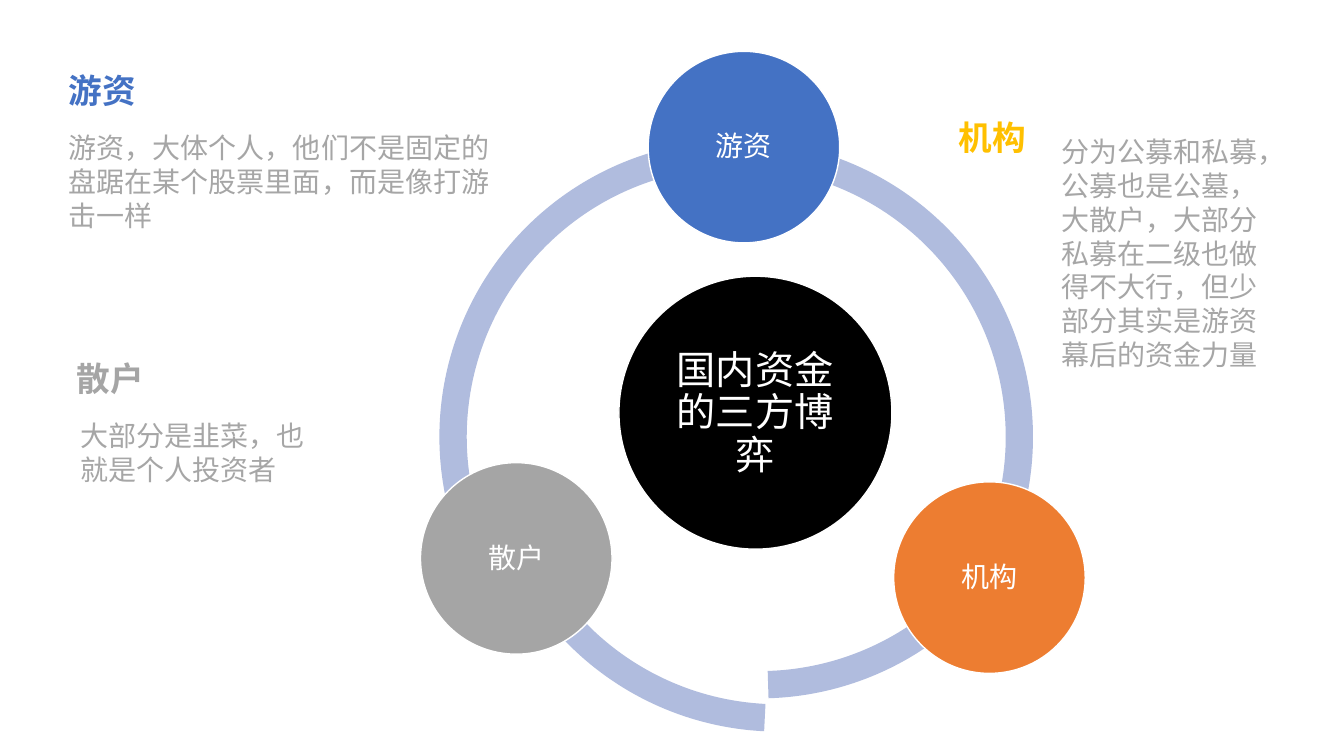
import pptx
import pptx.dml.color
import pptx.enum.shapes
import pptx.enum.text
import pptx.oxml
import pptx.util

Pt = pptx.util.Pt
RGBColor = pptx.dml.color.RGBColor
SHAPE = pptx.enum.shapes.MSO_SHAPE
ALIGN = pptx.enum.text.PP_ALIGN
ANCHOR = pptx.enum.text.MSO_ANCHOR

WHITE = RGBColor(0xFF, 0xFF, 0xFF)
BLACK = RGBColor(0x00, 0x00, 0x00)
RING = RGBColor(0xB0, 0xBC, 0xDE)
BLUE = RGBColor(0x44, 0x72, 0xC4)
ORANGE = RGBColor(0xED, 0x7D, 0x31)
GRAY = RGBColor(0xA5, 0xA5, 0xA5)
GOLD = RGBColor(0xFF, 0xC0, 0x00)
BODY_GRAY = RGBColor(0xA6, 0xA6, 0xA6)


class SlideBuilder:
    """Holds the style and the current slide."""

    font = "Noto Sans CJK SC"
    line_factor = 1.21

    def __init__(self, slide):
        self.slide = slide

    def fill_text(self, shape, text, size, color, bold=False, centered=False, inset=(14.4, 7.2)):
        frame = shape.text_frame
        frame.word_wrap = True
        frame.auto_size = pptx.enum.text.MSO_AUTO_SIZE.NONE
        frame.margin_left = frame.margin_right = Pt(inset[0])
        frame.margin_top = frame.margin_bottom = Pt(inset[1])
        frame.vertical_anchor = ANCHOR.MIDDLE if centered else ANCHOR.TOP
        paragraph = frame.paragraphs[0]
        paragraph.alignment = ALIGN.CENTER if centered else ALIGN.LEFT
        factor = self.line_factor * (0.9 if centered else 1)
        paragraph.line_spacing = Pt(round(size * factor, 1))
        run = paragraph.add_run()
        run.text = text
        run.font.name = self.font
        run.font.size = Pt(size)
        run.font.bold = bold
        run.font.color.rgb = color
        # East Asian typeface
        east_asian = pptx.oxml.parse_xml(
            '<a:ea xmlns:a="http://schemas.openxmlformats.org/drawingml/2006/main" '
            f'typeface="{self.font}"/>')
        run._r.get_or_add_rPr().append(east_asian)

    def arc(self, left, top, start, end):
        shape = self.slide.shapes.add_shape(
            SHAPE.BLOCK_ARC, Pt(left), Pt(top), Pt(424), Pt(424))
        shape.shadow.inherit = False
        # Angles are stored in 60000ths of a degree, scaled by 100000
        shape.adjustments[0] = start * 0.6
        shape.adjustments[1] = end * 0.6
        shape.adjustments[2] = 0.046
        shape.fill.solid()
        shape.fill.fore_color.rgb = RING
        shape.line.fill.background()

    def circle(self, left, top, diameter, color, label=None):
        shape = self.slide.shapes.add_shape(
            SHAPE.OVAL, Pt(left), Pt(top), Pt(diameter), Pt(diameter))
        shape.shadow.inherit = False
        shape.fill.solid()
        shape.fill.fore_color.rgb = color
        shape.line.color.rgb = WHITE
        shape.line.width = Pt(1)
        if label:
            self.fill_text(shape, label, 20, WHITE, centered=True, inset=(2, 2))

    def title(self, left, top, width, height, text):
        shape = self.slide.shapes.title
        shape.left, shape.top = Pt(left), Pt(top)
        shape.width, shape.height = Pt(width), Pt(height)
        self.fill_text(shape, text, 28, WHITE, centered=True, inset=(2.8, 2.8))
        # Bring the title in front of the circle
        shape.element.getparent().append(shape.element)

    def text(self, left, top, width, height, text, size, color, bold=False):
        shape = self.slide.shapes.add_textbox(Pt(left), Pt(top), Pt(width), Pt(height))
        self.fill_text(shape, text, size, color, bold)


def main():
    presentation = pptx.Presentation()
    presentation.slide_width = Pt(960)
    presentation.slide_height = Pt(540)
    builder = SlideBuilder(presentation.slides.add_slide(presentation.slide_layouts[5]))

    # Ring
    for left, top, start, end in (
        (344.2, 98.6, 92.8, 157.91),
        (330.5, 74.9, 22.5, 88.24),
        (313.9, 100.1, 162.9, 17.46),
    ):
        builder.arc(left, top, start, end)

    # Centre
    builder.circle(442.1, 197.3, 195, BLACK)
    builder.title(470.2, 226.1, 138.2, 138.2, "国内资金的三方博弈")

    # Three parties
    for left, top, color, label in (
        (463, 36.7, BLUE, "游资"),
        (638.4, 344.2, ORANGE, "机构"),
        (300.4, 330.5, GRAY, "散户"),
    ):
        builder.circle(left, top, 136.8, color, label)

    # Headings
    for left, top, color, heading in (
        (34.6, 42.5, BLUE, "游资"),
        (670.3, 76.3, GOLD, "机构"),
        (40.3, 248.4, GRAY, "散户"),
    ):
        builder.text(left, top, 150, 43.9, heading, 24, color, bold=True)

    # Descriptions
    for left, top, width, height, description in (
        (34.6, 85.7, 347, 87.1, "游资，大体个人，他们不是固定的盘踞在某个股票里面，而是像打游击一样"),
        (43.2, 291.6, 203.8, 62.6, "大部分是韭菜，也就是个人投资者"),
        (743.8, 88.6, 173.5, 184.3,
         "分为公募和私募，公募也是公墓，大散户，大部分私募在二级也做得不大行，"
         "但少部分其实是游资幕后的资金力量"),
    ):
        builder.text(left, top, width, height, description, 20, BODY_GRAY)

    presentation.save("out.pptx")


if __name__ == "__main__":
    main()
